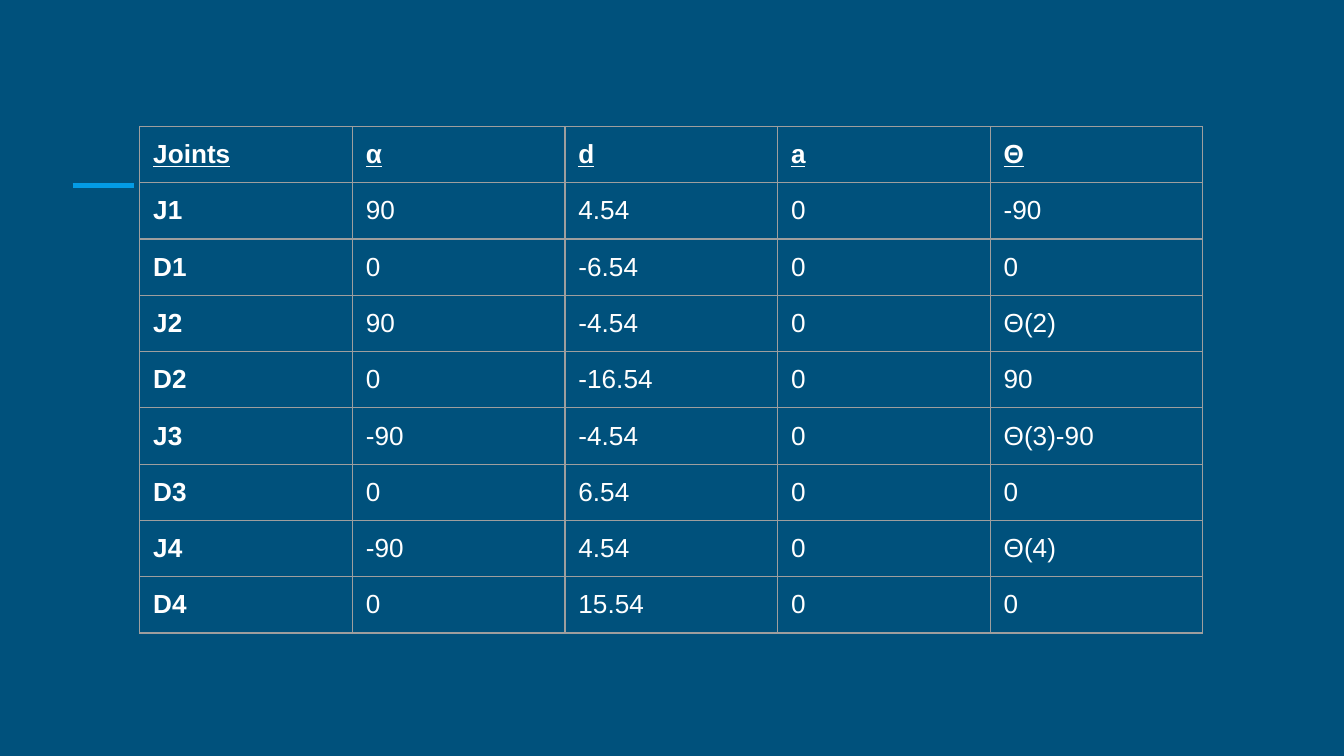
from dataclasses import dataclass

import pptx
import pptx.dml.color
import pptx.enum.shapes
import pptx.oxml.ns
import pptx.slide
import pptx.table
import pptx.util
from lxml import etree

Inches = pptx.util.Inches
Pt = pptx.util.Pt
RGBColor = pptx.dml.color.RGBColor
qn = pptx.oxml.ns.qn

BACKGROUND = RGBColor(0x00, 0x51, 0x7C)
ACCENT = RGBColor(0x03, 0x9B, 0xE5)
GRID = RGBColor(0x9E, 0x9E, 0x9E)
WHITE = RGBColor(0xFF, 0xFF, 0xFF)

FONT = "Arial"
TABLE_WIDTH = Inches(7.91)
TABLE_HEIGHT = Inches(3.76)
CELL_MARGIN = Inches(0.1)


@dataclass
class Link:
    """One row of the joint parameter table."""
    joint: str
    alpha: str
    d: str
    a: str
    theta: str

    def values(self) -> list[str]:
        return [self.joint, self.alpha, self.d, self.a, self.theta]


LINKS = [
    Link("Joints", "α", "d", "a", "Θ"),
    Link("J1", "90", "4.54", "0", "-90"),
    Link("D1", "0", "-6.54", "0", "0"),
    Link("J2", "90", "-4.54", "0", "Θ(2)"),
    Link("D2", "0", "-16.54", "0", "90"),
    Link("J3", "-90", "-4.54", "0", "Θ(3)-90"),
    Link("D3", "0", "6.54", "0", "0"),
    Link("J4", "-90", "4.54", "0", "Θ(4)"),
    Link("D4", "0", "15.54", "0", "0"),
]


def add_accent_line(s: pptx.slide.Slide) -> None:
    line = s.shapes.add_connector(
        pptx.enum.shapes.MSO_CONNECTOR.STRAIGHT,
        Inches(0.54), Inches(1.38), Inches(1), Inches(1.38))
    line.line.color.rgb = ACCENT
    line.line.width = Pt(3)
    etree.SubElement(line._element.spPr, qn("a:effectLst"))


def set_borders(cell: pptx.table._Cell) -> None:
    tc_pr = cell._tc.get_or_add_tcPr()
    for side in ("lnL", "lnR", "lnT", "lnB"):
        ln = etree.SubElement(tc_pr, qn(f"a:{side}"), w=str(Pt(0.75)))
        fill = etree.SubElement(ln, qn("a:solidFill"))
        etree.SubElement(fill, qn("a:srgbClr"), val=str(GRID))


def fill_cell(cell: pptx.table._Cell, text: str, bold: bool, underline: bool) -> None:
    set_borders(cell)
    cell.fill.background()
    cell.margin_left = cell.margin_right = CELL_MARGIN
    cell.margin_top = cell.margin_bottom = CELL_MARGIN
    cell.text_frame.text = text
    font = cell.text_frame.paragraphs[0].runs[0].font
    font.name = FONT
    font.size = Pt(14)
    font.color.rgb = WHITE
    font.bold = bold
    font.underline = underline


def add_joint_table(s: pptx.slide.Slide, links: list[Link]) -> None:
    # add_table shares the width and height equally among columns and rows
    table = s.shapes.add_table(
        len(links), len(links[0].values()), Inches(1.04), Inches(0.94),
        TABLE_WIDTH, TABLE_HEIGHT).table
    table.first_row = False
    table.horz_banding = False
    for i, link in enumerate(links):
        for j, text in enumerate(link.values()):
            fill_cell(table.cell(i, j), text, bold=i == 0 or j == 0, underline=i == 0)


def main() -> None:
    # Widescreen 16:9 page
    prs = pptx.Presentation()
    prs.slide_width = Inches(10)
    prs.slide_height = prs.slide_width * 9 // 16

    # Blank slide with a solid background
    s = prs.slides.add_slide(prs.slide_layouts[6])
    s.background.fill.solid()
    s.background.fill.fore_color.rgb = BACKGROUND

    # Accent line and joint parameters
    add_accent_line(s)
    add_joint_table(s, LINKS)

    prs.save("out.pptx")


if __name__ == "__main__":
    main()
